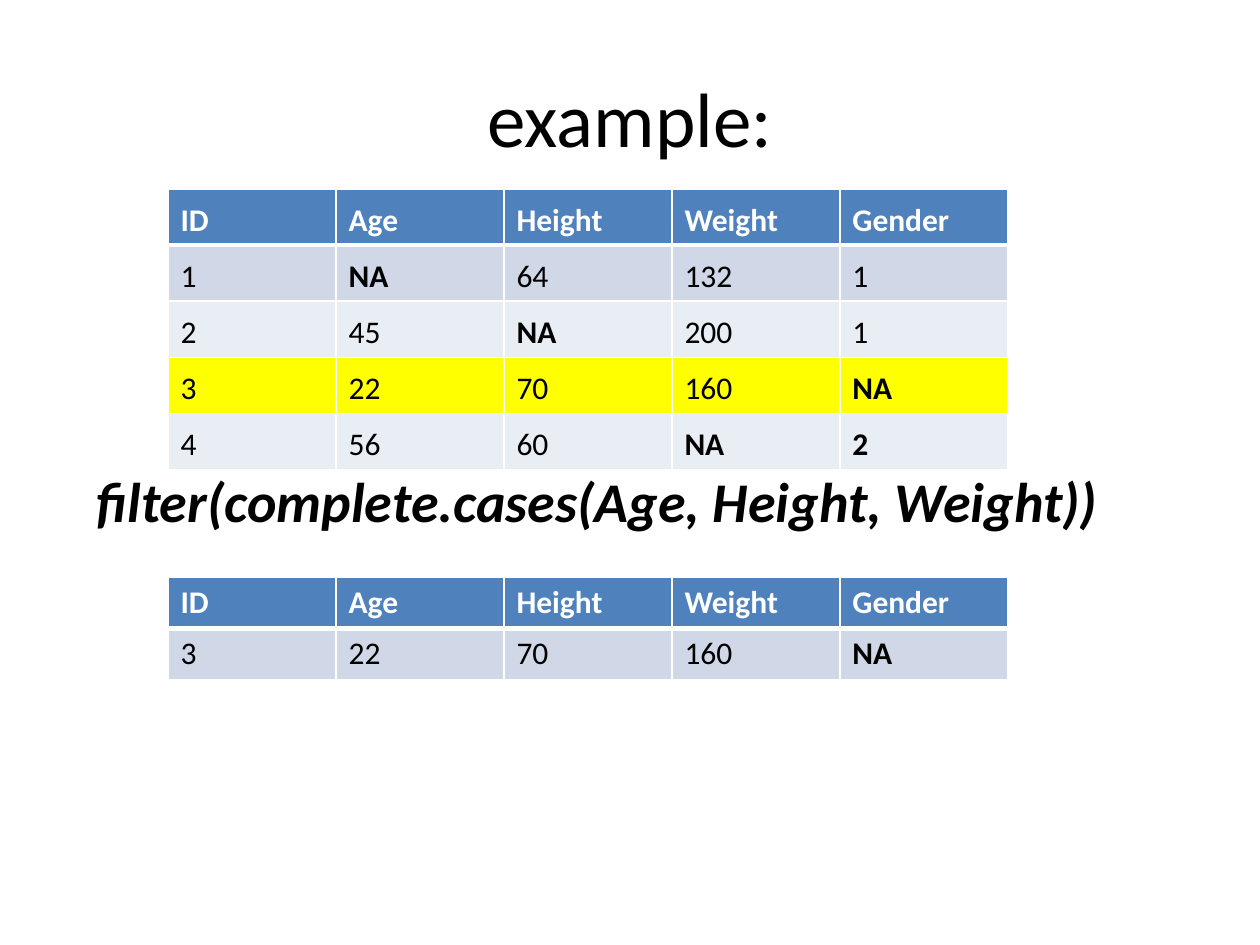
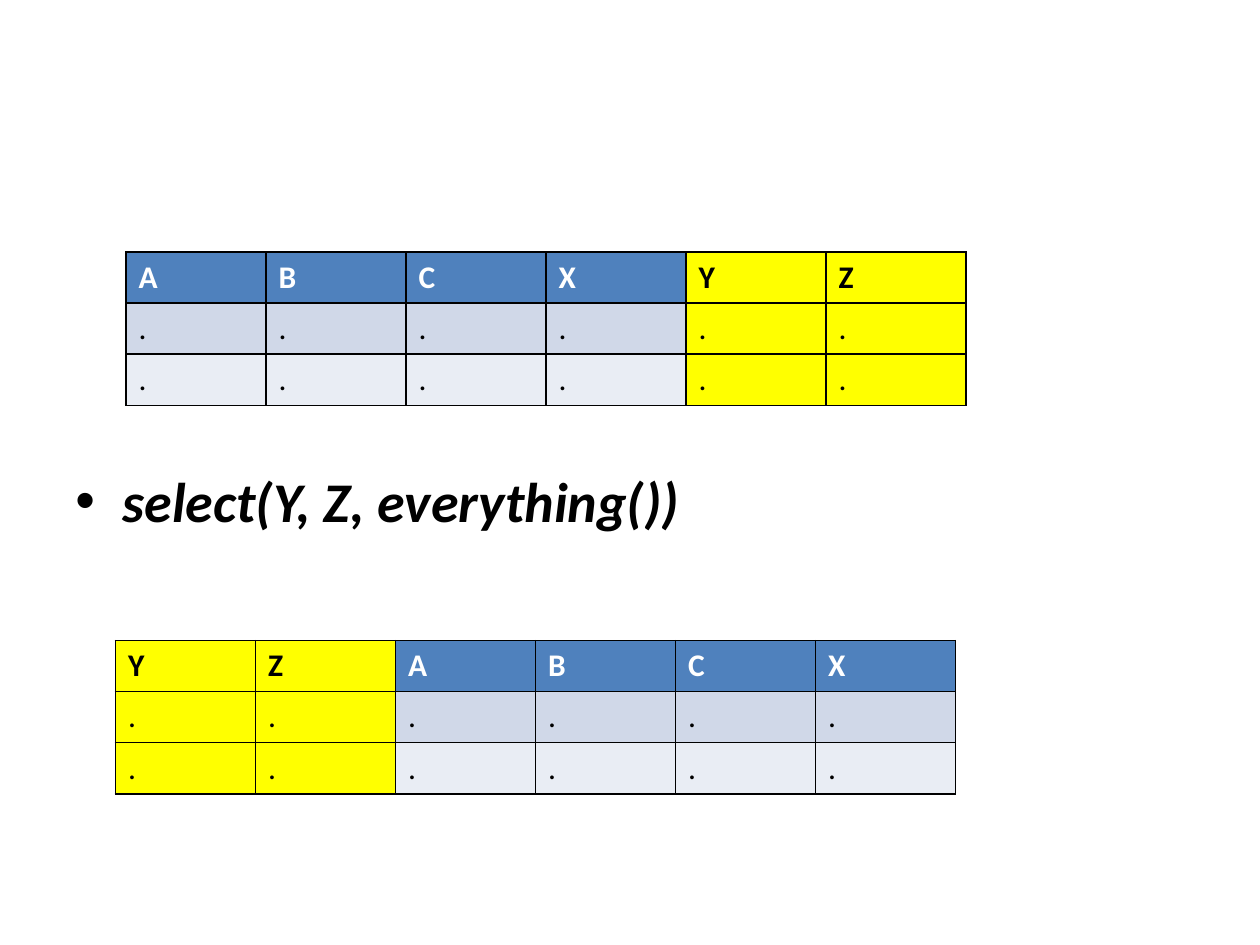
from lxml import etree
from pptx import Presentation
from pptx.dml.color import RGBColor
from pptx.enum.text import MSO_ANCHOR, PP_ALIGN
from pptx.oxml.ns import qn
from pptx.util import Pt

CENTER = PP_ALIGN.CENTER
MIDDLE = MSO_ANCHOR.MIDDLE
TITLE_ONLY, BLANK = 5, 6
FONT = "Calibri"
COLORS = {
    "text": "000000",
    "white": "FFFFFF",
    "header": "4F81BD",
    "band_dark": "D0D8E8",
    "band_light": "E9EDF4",
    "highlight": "FFFF00",
}
TABLE_WIDTH = 480
ROW_HEIGHT = 29.2
PEOPLE_HEADER = ["ID", "Age", "Height", "Weight", "Gender"]


def style_runs(p, size, color="text", bold=False, italic=False):
    for r in p.runs:
        r.font.name = FONT
        r.font.size = Pt(size)
        r.font.bold = bold
        r.font.italic = italic
        r.font.color.rgb = RGBColor.from_string(COLORS[color])


def add_title(s, text):
    sp = s.shapes.title
    sp.left, sp.top, sp.width, sp.height = Pt(36), Pt(21.6), Pt(648), Pt(90)
    tf = sp.text_frame
    tf.text = text
    tf.vertical_anchor = MIDDLE
    tf.paragraphs[0].alignment = CENTER
    style_runs(tf.paragraphs[0], 44)


def add_code(s, text, left, bullet=False):
    sp = s.shapes.add_textbox(Pt(left), Pt(263), Pt(640), Pt(46))
    tf = sp.text_frame
    tf.word_wrap = True
    tf.text = text
    p = tf.paragraphs[0]
    style_runs(p, 32, bold=True, italic=True)
    if bullet:
        pPr = p._p.get_or_add_pPr()
        pPr.set("marL", str(Pt(27)))
        pPr.set("indent", str(-Pt(27)))
        etree.SubElement(pPr, qn("a:buFont"), typeface="Arial")
        etree.SubElement(pPr, qn("a:buChar"), char="•")


def set_borders(cell, color, widths):
    tcPr = cell._tc.get_or_add_tcPr()
    for side, width in zip("LRTB", widths):
        ln = etree.SubElement(tcPr, qn(f"a:ln{side}"), w=str(Pt(width)))
        fill = etree.SubElement(ln, qn("a:solidFill"))
        etree.SubElement(fill, qn("a:srgbClr"), val=COLORS[color])


def add_table(s, rows, left, top, border, header_rule=1, spacing=1.0,
              marked_rows=(), marked_cols=(), bold_cells=()):
    n_rows, n_cols = len(rows), len(rows[0])
    table = s.shapes.add_table(n_rows, n_cols, Pt(left), Pt(top), Pt(TABLE_WIDTH),
                               Pt(ROW_HEIGHT * n_rows)).table
    table.first_row = table.horz_banding = False
    for col in table.columns:
        col.width = Pt(TABLE_WIDTH / n_cols)
    for i, values in enumerate(rows):
        band = "header" if i == 0 else "band_dark" if i % 2 else "band_light"
        top_rule = header_rule if i == 1 else 1
        bottom_rule = header_rule if i == 0 else 1
        for j, value in enumerate(values):
            cell = table.cell(i, j)
            marked = i in marked_rows or values[j] and rows[0][j] in marked_cols
            set_borders(cell, border, (1, 1, top_rule, bottom_rule))
            cell.fill.solid()
            fill = "highlight" if marked else band
            cell.fill.fore_color.rgb = RGBColor.from_string(COLORS[fill])
            cell.text_frame.text = value
            p = cell.text_frame.paragraphs[0]
            p.line_spacing = spacing
            bold = i == 0 or value == "NA" or (i, j) in bold_cells
            style_runs(p, 18, "white" if fill == "header" else "text", bold)


def filter_slide(prs):
    s = prs.slides.add_slide(prs.slide_layouts[TITLE_ONLY])
    add_title(s, "example:")
    add_code(s, "filter(complete.cases(Age, Height, Weight))", 48)
    complete = ["3", "22", "70", "160", "NA"]
    people = [
        PEOPLE_HEADER,
        ["1", "NA", "64", "132", "1"],
        ["2", "45", "NA", "200", "1"],
        complete,
        ["4", "56", "60", "NA", "2"],
    ]
    add_table(s, people, 96, 108, "white", header_rule=3, spacing=1.15,
              marked_rows=[3], bold_cells=[(4, 4)])
    add_table(s, [PEOPLE_HEADER, complete], 96, 330, "white", header_rule=3)


def select_slide(prs):
    s = prs.slides.add_slide(prs.slide_layouts[BLANK])
    add_code(s, "select(Y, Z, everything())", 36, bullet=True)
    for header, left, top in (("ABCXYZ", 72, 144), ("YZABCX", 66, 366)):
        rows = [list(header)] + [["."] * len(header)] * 2
        add_table(s, rows, left, top, "text", marked_cols="YZ")


def main():
    prs = Presentation()
    prs.slide_width, prs.slide_height = Pt(720), Pt(540)
    filter_slide(prs)
    select_slide(prs)
    prs.save("out.pptx")


if __name__ == "__main__":
    main()
